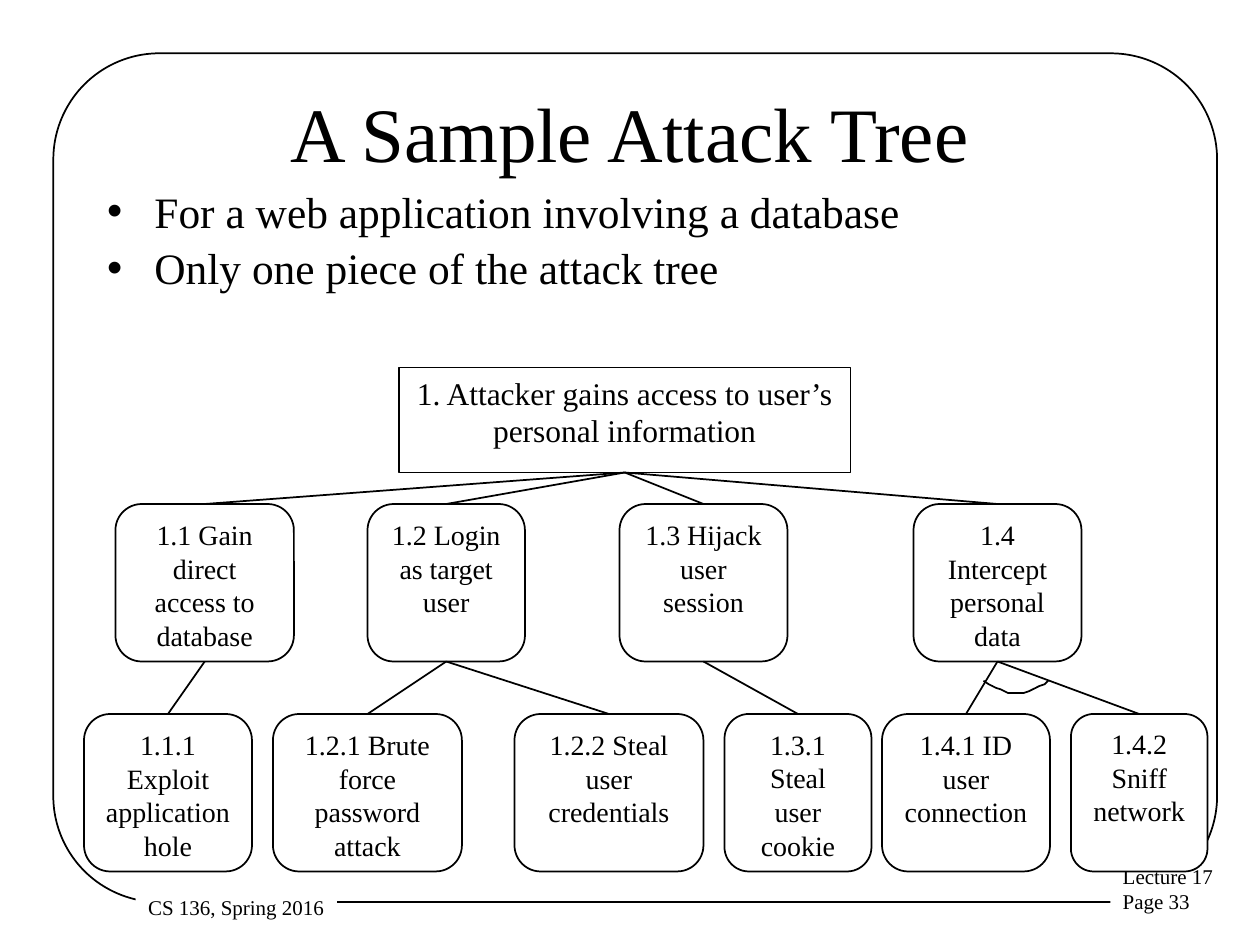
from lxml.etree import SubElement
from pptx import Presentation
from pptx.dml.color import RGBColor
from pptx.enum.shapes import MSO_CONNECTOR as LINE, MSO_SHAPE as SHAPE
from pptx.enum.text import MSO_ANCHOR as ANCHOR, MSO_AUTO_SIZE as AUTO, PP_ALIGN as ALIGN
from pptx.oxml.ns import qn
from pptx.util import Pt

BLACK = RGBColor(0, 0, 0)
WHITE = RGBColor(255, 255, 255)
FONT = "Times New Roman"
BOTTOM, TOP = 2, 0

ROOT = ("1. Attacker gains access to user’s personal information", 180, 258)
BRANCHES = [
    ("1.1 Gain direct access to database", 18, 102, [
        ("1.1.1 Exploit application hole", 0, 96)]),
    ("1.2 Login as target user", 162, 90, [
        ("1.2.1 Brute force password attack", 108, 108),
        ("1.2.2 Steal user credentials", 246, 108)]),
    ("1.3 Hijack user session", 306, 96, [
        ("1.3.1 Steal user cookie", 366, 84)]),
    ("1.4 Intercept personal data", 474, 96, [
        ("1.4.1 ID user connection", 456, 96),
        ("1.4.2 Sniff network", 564, 78)]),
]


def style_text(tf, lines, size, align):
    tf.text = "\n".join(lines)
    for p in tf.paragraphs:
        p.alignment = align
        p.font.size, p.font.name = Pt(size), FONT
        p.font.color.rgb = BLACK


def place(sp, box):
    sp.left, sp.top, sp.width, sp.height = (Pt(v) for v in box)


def add_box(s, kind, box, fill=None, outlined=True):
    sp = s.shapes.add_shape(kind, *(Pt(v) for v in box))
    sp.shadow.inherit = False
    if fill is None:
        sp.fill.background()
    else:
        sp.fill.solid()
        sp.fill.fore_color.rgb = fill
    if outlined:
        sp.line.color.rgb, sp.line.width = BLACK, Pt(1)
    else:
        sp.line.fill.background()
    return sp


def add_node(s, kind, box, text, size, fill=None):
    sp = add_box(s, kind, box, fill)
    tf = sp.text_frame
    tf.word_wrap, tf.vertical_anchor = True, ANCHOR.TOP
    style_text(tf, [text], size, ALIGN.CENTER)
    return sp


def link(s, parent, child):
    line = s.shapes.add_connector(LINE.STRAIGHT, 0, 0, 0, 0)
    line.begin_connect(parent, BOTTOM)
    line.end_connect(child, TOP)
    line.line.color.rgb, line.line.width = BLACK, Pt(1)
    SubElement(line._element.spPr, qn("a:effectLst"))


def add_arc(s, box, steps=16):
    x, y, w, h = box
    points = [(x + w * i / steps, y + 4 * h * i * (steps - i) / steps ** 2)
              for i in range(steps + 1)]
    builder = s.shapes.build_freeform(*points[0], scale=Pt(1))
    builder.add_line_segments(points[1:], close=False)
    arc = builder.convert_to_shape()
    arc.shadow.inherit = False
    arc.fill.background()
    arc.line.color.rgb, arc.line.width = BLACK, Pt(1)


def add_footer(s, box, lines):
    tf = add_box(s, SHAPE.RECTANGLE, box, WHITE, outlined=False).text_frame
    tf.word_wrap, tf.vertical_anchor = False, ANCHOR.TOP
    style_text(tf, lines, 12, ALIGN.LEFT)


def add_frame(s, box):
    x, y, w, h = box
    frame = add_box(s, SHAPE.ROUNDED_RECTANGLE, box)
    frame.adjustments[0] = 0.125
    add_footer(s, (x + w - 61, y + h - 25.5, 86, 36), ["Lecture 17", "Page 33"])
    add_footer(s, (x + 47, y + h - 8, 115, 21.6), ["CS 136, Spring 2016"])


def add_heading(s, box):
    x, y, w, h = box
    title, body = s.shapes.title, s.placeholders[1]
    place(title, (x, y, w, 90))
    title.text_frame.vertical_anchor = ANCHOR.MIDDLE
    style_text(title.text_frame, ["A Sample Attack Tree"], 44, ALIGN.CENTER)
    place(body, (x, y + 72, w, h - 72))
    style_text(body.text_frame, ["For a web application involving a database",
                                 "Only one piece of the attack tree"], 24.8, ALIGN.LEFT)
    for p in body.text_frame.paragraphs:
        p.space_before = Pt(2.6)
        pPr = p._p.get_or_add_pPr()
        pPr.set("marL", str(Pt(27)))
        pPr.set("indent", str(Pt(-27)))
    for sp in (title, body):
        sp.text_frame.auto_size = AUTO.NONE


def add_tree(s, box):
    x, y, w, h = box
    node_h = 90
    text, dx, width = ROOT
    root = add_node(s, SHAPE.RECTANGLE, (x + dx, y, width, 60), text, 18)
    for text, dx, width, leaves in BRANCHES:
        branch = add_node(s, SHAPE.ROUNDED_RECTANGLE,
                          (x + dx, y + 78, width, node_h), text, 16, WHITE)
        link(s, root, branch)
        for text, dx, width in leaves:
            leaf = add_node(s, SHAPE.ROUNDED_RECTANGLE,
                            (x + dx, y + h - node_h, width, node_h), text, 16, WHITE)
            link(s, branch, leaf)
    add_arc(s, (x + 514.5, y + 179, 36.5, 7))


def main():
    prs = Presentation()
    prs.slide_width, prs.slide_height = Pt(720), Pt(540)
    s = prs.slides.add_slide(prs.slide_layouts[1])
    add_frame(s, (30.5, 30.5, 665, 485))
    add_heading(s, (54, 30, 612, 144))
    add_tree(s, (48, 210, 642, 288))
    prs.save("out.pptx")


if __name__ == "__main__":
    main()
